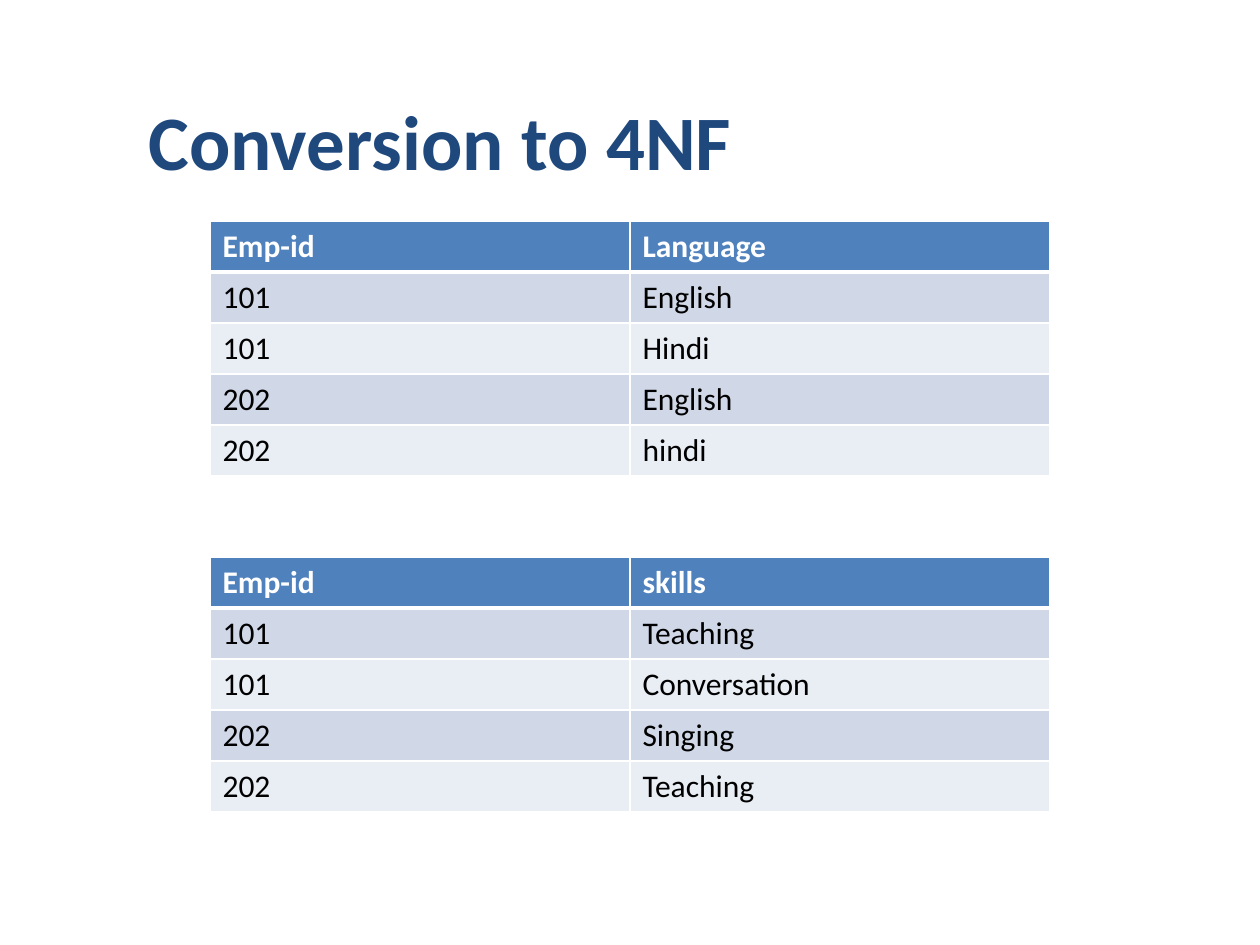
import pptx
import pptx.dml.color
import pptx.enum.text
import pptx.oxml.ns
import pptx.util
from lxml import etree

PX = 914400 // 126
FONT = "Calibri"
WHITE, BLACK, NAVY = "FFFFFF", "000000", "1F497D"
HEADER_FILL = "4F81BD"
BAND_FILLS = ["D0D8E8", "E9EDF4"]
TABLE_LEFT, COLUMN_WIDTH, ROW_HEIGHT = 210, 420, 51

LANGUAGES = [
    ("Emp-id", "Language"),
    ("101", "English"),
    ("101", "Hindi"),
    ("202", "English"),
    ("202", "hindi"),
]
SKILLS = [
    ("Emp-id", "skills"),
    ("101", "Teaching"),
    ("101", "Conversation"),
    ("202", "Singing"),
    ("202", "Teaching"),
]


def px(length):
    return pptx.util.Emu(length * PX)


def rgb(color):
    return pptx.dml.color.RGBColor.from_string(color)


def add_run(paragraph, text, size, color, bold):
    run = paragraph.add_run()
    run.text = text
    run.font.name = FONT
    run.font.size = pptx.util.Pt(size)
    run.font.bold = bold
    run.font.color.rgb = rgb(color)


def add_border(cell, side, points):
    """Draw a white line on one side (L, R, T or B); call before filling the cell."""
    qn = pptx.oxml.ns.qn
    properties = cell._tc.get_or_add_tcPr()
    line = etree.SubElement(properties, qn(f"a:ln{side}"), w=str(pptx.util.Pt(points)))
    fill = etree.SubElement(line, qn("a:solidFill"))
    etree.SubElement(fill, qn("a:srgbClr"), val=WHITE)


def format_cell(cell, text, row):
    is_header = row == 0
    for side in "LRTB":
        under_header = (row, side) in [(0, "B"), (1, "T")]
        add_border(cell, side, 3 if under_header else 1)
    cell.fill.solid()
    cell.fill.fore_color.rgb = rgb(HEADER_FILL if is_header else BAND_FILLS[(row - 1) % 2])
    add_run(cell.text_frame.paragraphs[0], text, 18, WHITE if is_header else BLACK, is_header)


def add_table(slide, top, rows):
    columns = len(rows[0])
    table = slide.shapes.add_table(
        len(rows), columns, px(TABLE_LEFT), px(top),
        px(COLUMN_WIDTH * columns), px(ROW_HEIGHT * len(rows)),
    ).table
    for column in table.columns:
        column.width = px(COLUMN_WIDTH)
    for row, texts in enumerate(rows):
        table.rows[row].height = px(ROW_HEIGHT)
        for column, text in enumerate(texts):
            format_cell(table.cell(row, column), text, row)


def set_title(slide, text):
    title = slide.shapes.title
    title.left, title.top, title.width, title.height = map(px, (136, 87, 725, 106))
    frame = title.text_frame
    frame.word_wrap = True
    frame.auto_size = pptx.enum.text.MSO_AUTO_SIZE.SHAPE_TO_FIT_TEXT
    frame.vertical_anchor = pptx.enum.text.MSO_ANCHOR.TOP
    paragraph = frame.paragraphs[0]
    paragraph.alignment = pptx.enum.text.PP_ALIGN.LEFT
    add_run(paragraph, text, 44, NAVY, True)


def main():
    presentation = pptx.Presentation()
    presentation.slide_width = px(1260)
    presentation.slide_height = px(945)
    slide = presentation.slides.add_slide(presentation.slide_layouts[5])
    set_title(slide, "Conversion to 4NF")
    add_table(slide, 221, LANGUAGES)
    add_table(slide, 557, SKILLS)
    presentation.save("out.pptx")


if __name__ == "__main__":
    main()
